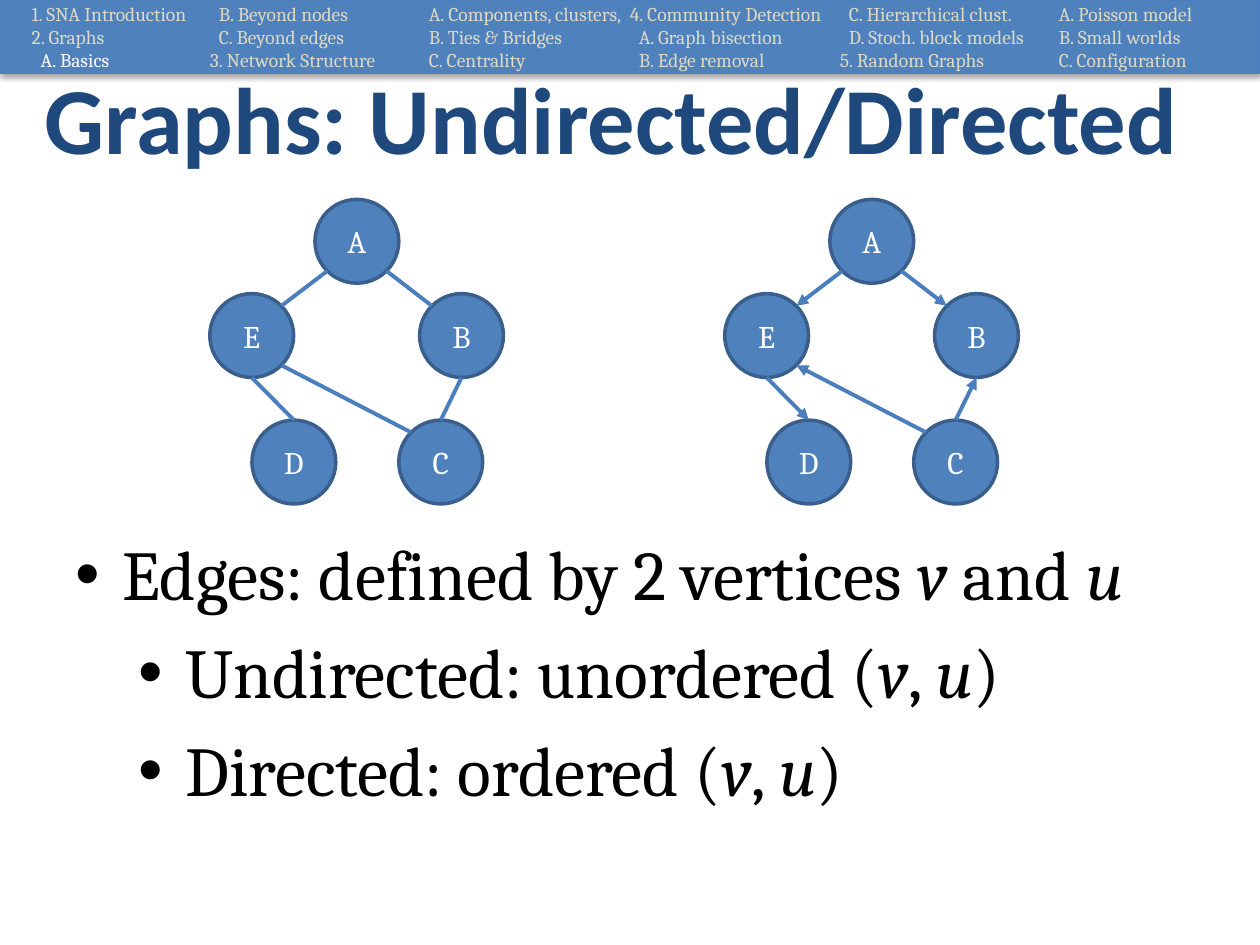
"""Build a slide on undirected and directed graphs."""
from lxml import etree
from pptx import Presentation
from pptx.dml.color import RGBColor
from pptx.enum.shapes import MSO_CONNECTOR, MSO_SHAPE
from pptx.enum.text import MSO_ANCHOR, PP_ALIGN
from pptx.oxml.ns import qn
from pptx.util import Cm, Pt

LINE = MSO_CONNECTOR.STRAIGHT
OVAL, RECT = MSO_SHAPE.OVAL, MSO_SHAPE.RECTANGLE
MID, TOP = MSO_ANCHOR.MIDDLE, MSO_ANCHOR.TOP
LEFT, CENTER = PP_ALIGN.LEFT, PP_ALIGN.CENTER

HUES = {"navy": "1F497D", "blue": "4F81BD", "rim": "3A5F8C", "edge": "4B7EBC",
        "white": "FFFFFF", "black": "000000", "sand": "DDD9C3"}
RGB = {name: RGBColor.from_string(hue) for name, hue in HUES.items()}
FONTS = {
    "title": {"name": "Calibri", "size": Pt(54), "bold": True},
    "node": {"name": "Cambria", "size": Pt(18)},
    "body": {"name": "Cambria", "size": Pt(40)},
    "menu": {"name": "Cambria", "size": Pt(11.1)},
}


def add_run(para, text, kind, hue, italic=None):
    run = para.add_run()
    run.text = text
    for key, value in {**FONTS[kind], "italic": italic}.items():
        setattr(run.font, key, value)
    run.font.color.rgb = RGB[hue]


def add_tag(node, tag, **attrs):
    return etree.SubElement(node, qn(tag), attrs)


deck = Presentation()
deck.slide_width, deck.slide_height = Cm(25.4), Cm(19.05)
slide = deck.slides.add_slide(deck.slide_layouts[5])
shapes = slide.shapes

title = shapes.title
place = {"left": Cm(0.64), "top": Cm(0.76), "width": Cm(24.13), "height": Cm(3.18)}
for key, value in place.items():
    setattr(title, key, value)
title.text_frame.vertical_anchor = MID
para = title.text_frame.paragraphs[0]
para.alignment = LEFT
add_run(para, "Graphs: Undirected/Directed", "title", "navy")

SIZE = 1.69
HALF = SIZE / 2
DIAG = HALF * 0.71
NODES = {"A": (2.12, 0), "B": (4.23, 1.9), "C": (3.81, 4.45),
         "D": (0.85, 4.45), "E": (0, 1.9)}
SITES = {"n": (0, -HALF), "s": (0, HALF), "nw": (-DIAG, -DIAG),
         "ne": (DIAG, -DIAG), "sw": (-DIAG, DIAG), "se": (DIAG, DIAG)}
EDGES = [("A", "sw", "E", "ne"), ("A", "se", "B", "nw"), ("C", "n", "B", "s"),
         ("C", "nw", "E", "se"), ("E", "s", "D", "n")]
BASE = 4.02

for left, arrow in ((4.23, False), (14.61, True)):
    for name, (x, y) in NODES.items():
        node = shapes.add_shape(OVAL, Cm(left + x), Cm(BASE + y), Cm(SIZE), Cm(SIZE))
        node.shadow.inherit = False
        node.fill.solid()
        node.fill.fore_color.rgb = RGB["blue"]
        node.line.color.rgb = RGB["rim"]
        node.line.width = Pt(2)
        node.text_frame.vertical_anchor = MID
        para = node.text_frame.paragraphs[0]
        para.alignment = CENTER
        add_run(para, name, "node", "white")
    for tail, start, head, end in EDGES:
        ends = []
        for name, site in ((tail, start), (head, end)):
            (x, y), (dx, dy) = NODES[name], SITES[site]
            ends += [Cm(left + x + HALF + dx), Cm(BASE + y + HALF + dy)]
        edge = shapes.add_connector(LINE, *ends)
        edge.line.color.rgb = RGB["edge"]
        edge.line.width = Pt(2.25)
        if arrow:
            add_tag(edge.line._get_or_add_ln(), "a:tailEnd", type="triangle")
        add_tag(edge._element.spPr, "a:effectLst")

POINTS = [
    (0.95, ["Edges: defined by 2 vertices ", "v ", "and ", "u"]),
    (2.22, ["Undirected: unordered (", "v", ", ", "u", ")"]),
    (2.22, ["Directed: ordered (", "v", ", ", "u", ")"]),
]
body = shapes.add_textbox(Cm(1.27), Cm(10.58), Cm(22.86), Cm(6.43)).text_frame
body.word_wrap = True
body.vertical_anchor = TOP
for i, (indent, parts) in enumerate(POINTS):
    para = body.add_paragraph() if i else body.paragraphs[0]
    para.level = min(i, 1)
    para.space_before = Pt(8)
    props = para._p.get_or_add_pPr()
    props.set("marL", str(Cm(indent)))
    props.set("indent", str(-Cm(0.95)))
    add_tag(add_tag(props, "a:buClr"), "a:srgbClr", val=HUES["black"])
    add_tag(props, "a:buFont", typeface="Arial")
    add_tag(props, "a:buChar", char="•")
    for j, part in enumerate(parts):
        add_run(para, part, "body", "black", j % 2 == 1)

MENU = [
    "1. SNA Introduction", "2. Graphs", "A. Basics",
    "B. Beyond nodes", "C. Beyond edges", "3. Network Structure",
    "A. Components, clusters,", "B. Ties & Bridges", "C. Centrality",
    "4. Community Detection", "A. Graph bisection", "B. Edge removal",
    "C. Hierarchical clust.", "D. Stoch. block models", "5. Random Graphs",
    "A. Poisson model", "B. Small worlds", "C. Configuration",
]
bar = shapes.add_shape(RECT, 0, 0, Cm(25.4), Cm(1.48))
bar.fill.solid()
bar.fill.fore_color.rgb = RGB["blue"]
bar.line.color.rgb = RGB["edge"]
bar.line.width = Pt(0.75)
bar.shadow.inherit = False
glow = add_tag(bar._element.spPr.find(qn("a:effectLst")), "a:outerShdw",
               blurRad=str(Pt(3.1)), dist=str(Pt(1.8)), dir="5400000", rotWithShape="0")
add_tag(add_tag(glow, "a:srgbClr", val=HUES["black"]), "a:alpha", val="35000")
frame = bar.text_frame
frame.word_wrap = True
frame.vertical_anchor = MID
for side in ("left", "top", "right", "bottom"):
    setattr(frame, f"margin_{side}", 0)
frame._txBody.bodyPr.set("numCol", "6")
for i, text in enumerate(MENU):
    para = frame.add_paragraph() if i else frame.paragraphs[0]
    para.alignment = LEFT
    indent = (0.64 if i < 3 else 0) + (0.18 if text[0].isalpha() else 0)
    para._p.get_or_add_pPr().set("marL", str(Cm(indent)))
    add_run(para, text, "menu", "white" if text == "A. Basics" else "sand")

deck.save("out.pptx")
